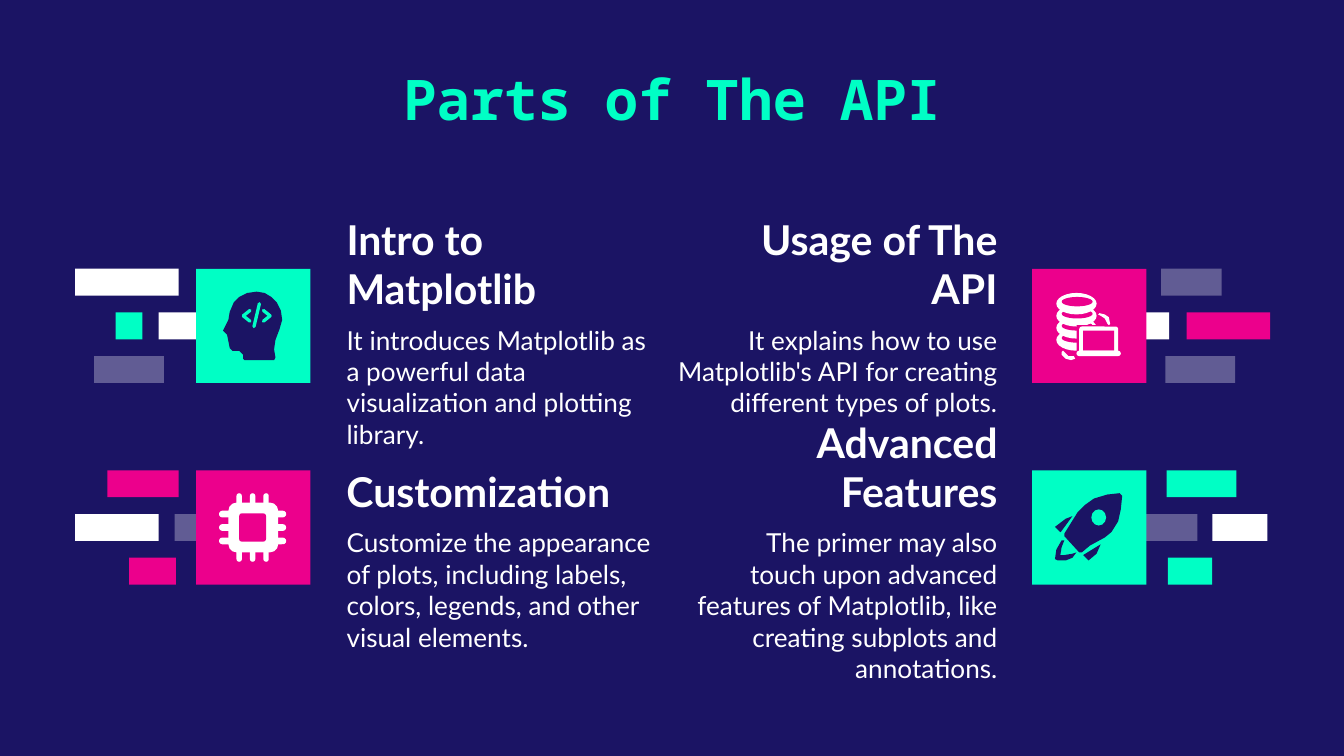
from pptx import Presentation
from pptx.dml.color import RGBColor
from pptx.enum import shapes, text
from pptx.oxml import parse_xml
from pptx.oxml.ns import nsdecls
from pptx.util import Inches, Pt

NAVY, TEAL, PINK, WHITE = "1B1464", "00FFC5", "EC008C", "FFFFFF"
RECT = shapes.MSO_SHAPE.RECTANGLE
ROUND = shapes.MSO_SHAPE.ROUNDED_RECTANGLE
OVAL = shapes.MSO_SHAPE.OVAL
LEFT, RIGHT = text.PP_ALIGN.LEFT, text.PP_ALIGN.RIGHT
TOP, BOTTOM = text.MSO_ANCHOR.TOP, text.MSO_ANCHOR.BOTTOM

deck = Presentation()
deck.slide_width = Inches(10)
deck.slide_height = deck.slide_width * 9 // 16
slide = deck.slides.add_slide(deck.slide_layouts[6])
slide.background.fill.solid()
slide.background.fill.fore_color.rgb = RGBColor.from_string(NAVY)


def paint(form, hue):
    form.shadow.inherit = False
    form.fill.solid()
    form.fill.fore_color.rgb = RGBColor.from_string(hue)
    form.line.fill.background()
    return form


def block(kind, x, y, w, h, hue):
    return paint(slide.shapes.add_shape(kind, Inches(x), Inches(y), Inches(w), Inches(h)), hue)


upper, lower = 2, 3.5
bricks = [
    (upper, 0, 0.56, 0.77, WHITE), (upper, 1, 0.86, 0.2, TEAL),
    (upper, 1, 1.18, 0.35, WHITE), (upper, 2, 0.7, 0.52, None),
    (upper, 0, 8.64, 0.45, None), (upper, 1, 8.46, 0.24, WHITE),
    (upper, 1, 8.83, 0.62, PINK), (upper, 2, 8.67, 0.52, None),
    (lower, 0, 0.8, 0.53, PINK), (lower, 1, 0.56, 0.62, WHITE),
    (lower, 1, 1.3, 0.24, None), (lower, 2, 0.96, 0.35, PINK),
    (lower, 0, 8.68, 0.52, TEAL), (lower, 1, 8.46, 0.45, None),
    (lower, 1, 9.02, 0.41, WHITE), (lower, 2, 8.69, 0.33, TEAL),
]
for top, row, x, w, hue in bricks:
    brick = block(RECT, x, top + row * 0.65 / 2, w, 0.2, hue or WHITE)
    if hue is None:
        tint = brick.fill._xPr.solidFill.srgbClr
        tint.append(parse_xml(f'<a:alpha {nsdecls("a")} val="31000"/>'))

for x, y, hue in [(1.46, upper, TEAL), (7.68, upper, PINK), (1.46, lower, PINK), (7.68, lower, TEAL)]:
    block(RECT, x, y, 0.85, 0.85, hue)

labels = [
    ("Parts of The API", 1.4, 0.38, 7.2, 0.73, 30, text.PP_ALIGN.CENTER, TOP),
    ("Intro to Matplotlib", 2.48, 1.94, 2.68, 0.39, 22, LEFT, BOTTOM),
    ("Usage of The API", 5.15, 1.94, 2.37, 0.39, 22, RIGHT, BOTTOM),
    ("It introduces Matplotlib as a powerful data visualization and plotting library.",
     2.48, 2.41, 2.52, 0.45, 14, LEFT, TOP),
    ("It explains how to use Matplotlib's API for creating different types of plots.",
     4.91, 2.41, 2.61, 0.45, 14, RIGHT, TOP),
    ("Customization", 2.48, 3.45, 2.37, 0.39, 22, LEFT, BOTTOM),
    ("Advanced Features", 4.84, 3.45, 2.68, 0.39, 22, RIGHT, BOTTOM),
    ("Customize the appearance of plots, including labels, colors, legends, and other visual elements.",
     2.48, 3.92, 2.52, 0.45, 14, LEFT, TOP),
    ("The primer may also touch upon advanced features of Matplotlib, like creating subplots and annotations.",
     5.07, 3.92, 2.45, 0.45, 14, RIGHT, TOP),
]
for words, x, y, w, h, size, align, anchor in labels:
    frame = slide.shapes.add_textbox(Inches(x), Inches(y), Inches(w), Inches(h)).text_frame
    frame.word_wrap = True
    frame.vertical_anchor = anchor
    title = size == 30
    frame.margin_left = frame.margin_right = Inches(0.1)
    frame.margin_top = Inches(0.1 if title else 0)
    frame.margin_bottom = Inches(0 if size == 22 else 0.1)
    line = frame.paragraphs[0]
    line.alignment = align
    run = line.add_run()
    run.text = words
    run.font.size = Pt(size)
    run.font.bold = size > 14
    run.font.name = "Noto Sans Mono" if title else "Lato"
    run.font.color.rgb = RGBColor.from_string(TEAL if title else WHITE)

for step in range(3):
    for bar in [(1.63, 3.8 + step * 0.1, 0.5, 0.05), (1.76 + step * 0.1, 3.67, 0.04, 0.51)]:
        block(ROUND, *bar, WHITE).adjustments[0] = 0.5
block(ROUND, 1.7, 3.74, 0.37, 0.37, WHITE).adjustments[0] = 0.16
block(ROUND, 1.78, 3.82, 0.2, 0.21, PINK).adjustments[0] = 0.1

for step in (3, 2, 1, 0):
    block(OVAL, 7.86, 2.18 + step * 0.09, 0.3, 0.16, WHITE)
    block(OVAL, 7.9, 2.21 + step * 0.09, 0.23, 0.07, PINK)
block(RECT, 8.01, 2.42, 0.32, 0.22, PINK)
block(ROUND, 8.03, 2.43, 0.29, 0.2, WHITE).adjustments[0] = 0.1
block(RECT, 8.06, 2.46, 0.23, 0.15, PINK)
block(ROUND, 8.01, 2.61, 0.33, 0.04, WHITE).adjustments[0] = 0.5

head = [(1.91, 2.17), (1.84, 2.18), (1.78, 2.21), (1.74, 2.25), (1.71, 2.32), (1.7, 2.38),
        (1.66, 2.46), (1.69, 2.49), (1.7, 2.54), (1.71, 2.59), (1.73, 2.61), (1.78, 2.61),
        (1.81, 2.64), (1.81, 2.67), (1.82, 2.68), (2.04, 2.68), (2.05, 2.66), (2.04, 2.6),
        (2.05, 2.53), (2.08, 2.45), (2.1, 2.38), (2.09, 2.31), (2.06, 2.25), (2.02, 2.21),
        (1.97, 2.18)]
fin = [(7.98, 3.84), (7.93, 3.86), (7.85, 3.92), (7.89, 3.96), (7.9, 3.95)]
wing = [(8.19, 4.05), (8.06, 4.13), (8.1, 4.17), (8.16, 4.12)]
flame = [(7.92, 4.02), (7.9, 4.02), (7.86, 4.09), (7.85, 4.16), (7.87, 4.17), (7.93, 4.17),
         (7.98, 4.15), (8.01, 4.11), (7.98, 4.12), (7.92, 4.13), (7.89, 4.13), (7.9, 4.07)]
hull = [(8.33, 3.67), (8.24, 3.68), (8.14, 3.71), (8.07, 3.76), (8.02, 3.81), (7.92, 3.97),
        (7.92, 3.99), (8.03, 4.11), (8.05, 4.11), (8.11, 4.06), (8.22, 4), (8.27, 3.96),
        (8.32, 3.88), (8.34, 3.79), (8.35, 3.69)]
swoop = [(7.91, 2.61), (7.9, 2.62), (7.9, 2.64), (7.93, 2.67), (7.97, 2.68), (8, 2.67),
         (7.99, 2.65), (7.95, 2.65), (7.93, 2.63)]
hook = [(8.18, 2.33), (8.17, 2.34), (8.19, 2.35), (8.22, 2.37), (8.24, 2.41), (8.25, 2.42),
        (8.26, 2.41), (8.25, 2.36), (8.22, 2.34)]
for spots, hue in [(head, NAVY), (fin, NAVY), (wing, NAVY), (flame, NAVY), (hull, NAVY),
                   (swoop, WHITE), (hook, WHITE)]:
    dots = [(Inches(x), Inches(y)) for x, y in spots]
    pen = slide.shapes.build_freeform(*dots[0])
    pen.add_line_segments(dots[1:])
    paint(pen.convert_to_shape(), hue)
block(OVAL, 8.12, 3.79, 0.11, 0.12, TEAL)

for ends in [(1.86, 2.31, 1.81, 2.35), (1.81, 2.35, 1.86, 2.39), (1.96, 2.31, 2.01, 2.35),
             (2.01, 2.35, 1.96, 2.39), (1.93, 2.26, 1.89, 2.43)]:
    mark = slide.shapes.add_connector(shapes.MSO_CONNECTOR.STRAIGHT, *map(Inches, ends))
    mark.line.width = Pt(1.75)
    mark.line.color.rgb = RGBColor.from_string(TEAL)
    mark.line._ln.set("cap", "rnd")
    mark._element.spPr.append(parse_xml(f'<a:effectLst {nsdecls("a")}/>'))

deck.save("out.pptx")
